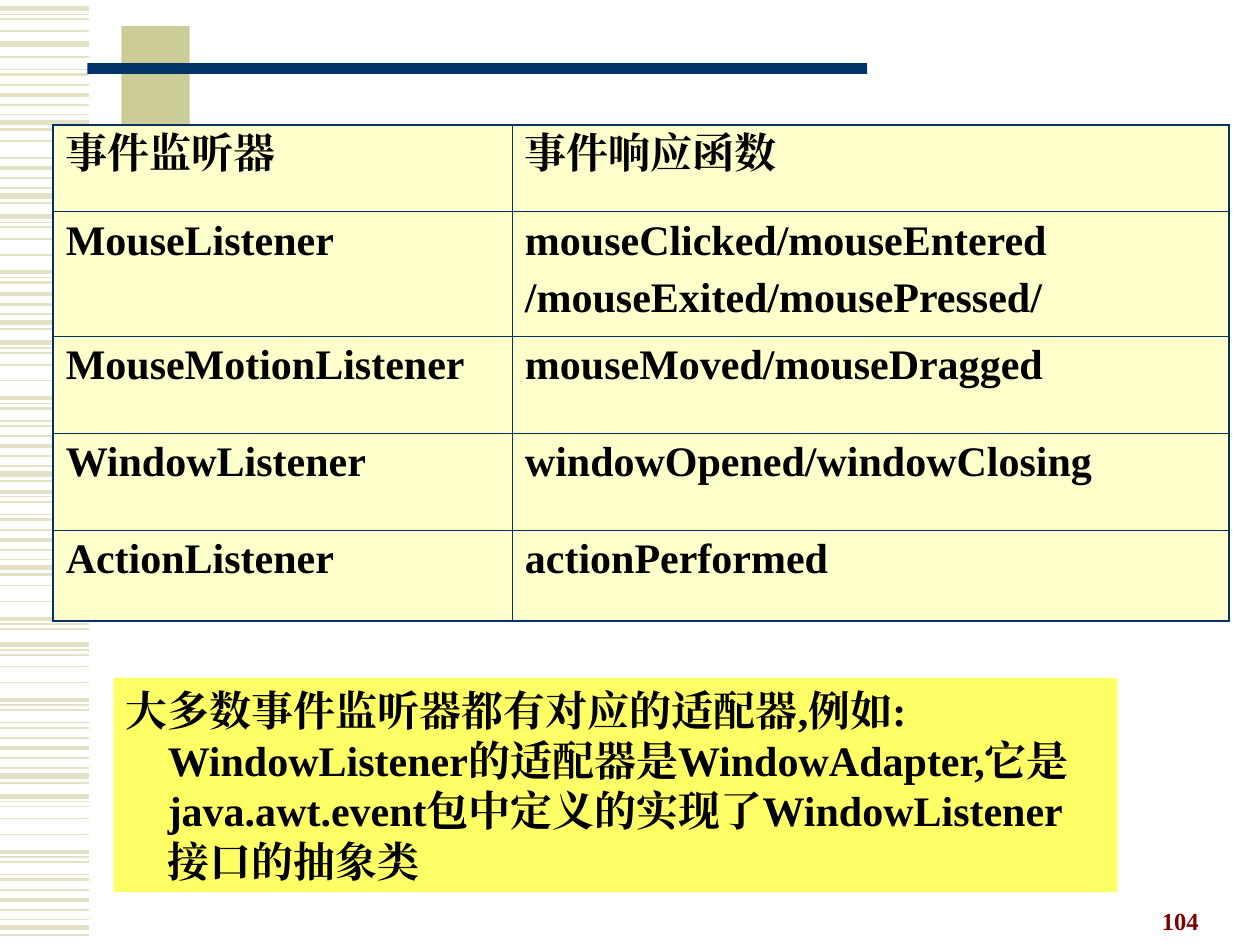
from dataclasses import dataclass

from lxml import etree
from pptx import Presentation
from pptx.dml.color import RGBColor
from pptx.enum.shapes import MSO_CONNECTOR, MSO_SHAPE
from pptx.enum.text import MSO_ANCHOR, PP_ALIGN
from pptx.oxml.ns import qn
from pptx.util import Pt

RECTANGLE = MSO_SHAPE.RECTANGLE
STRAIGHT = MSO_CONNECTOR.STRAIGHT
TOP, BOTTOM = MSO_ANCHOR.TOP, MSO_ANCHOR.BOTTOM
LEFT, RIGHT = PP_ALIGN.LEFT, PP_ALIGN.RIGHT


@dataclass(frozen=True)
class Theme:
    font: str = "Times New Roman"
    body_size: float = 24
    number_size: float = 14
    text: str = "000000"
    number: str = "800000"
    stripe: str = "E3E2C7"
    khaki: str = "CCCC99"
    navy: str = "003366"
    cell: str = "FFFFCC"
    note: str = "FFFF66"
    inner_border: float = 0.45
    outer_border: float = 1.08


THEME = Theme()

# One stripe motif: (offset from its start, line weight)
STRIPE_MOTIF = [
    (0, 3), (3.2, 0.75), (5.9, 1), (12.7, 1), (21.8, 1), (31.8, 2.25),
    (34.7, 0.75), (37.6, 1.5), (44.8, 0.75), (47.7, 1.5), (53.5, 1),
    (59.3, 2.25), (65, 1.5), (70.6, 0.75), (75.2, 3), (79.2, 1.5),
]
# Where the motif is repeated: (start, first stripe, end stripe)
STRIPE_RUNS = [
    (5, 0, 4), (25.2, 0, 1), (-5.1, 7, 16), (68, 3, 4), (36.8, 10, 16),
    (123.8, 0, 8), (108.9, 11, 16), (195.7, 0, 16), (249.2, 5, 16),
    (321.9, 3, 8), (368.2, 0, 16), (455, 0, 16),
]

LISTENER_ROWS = [
    ("事件监听器", "事件响应函数"),
    ("MouseListener", "mouseClicked/mouseEntered\n/mouseExited/mousePressed/"),
    ("MouseMotionListener", "mouseMoved/mouseDragged"),
    ("WindowListener", "windowOpened/windowClosing"),
    ("ActionListener", "actionPerformed"),
]
COLUMN_WIDTHS = [262.4, 409.6]
ROW_HEIGHTS = [49.5, 71.2, 55.4, 55.4, 52]

ADAPTER_NOTE = """大多数事件监听器都有对应的适配器,例如:
WindowListener的适配器是WindowAdapter,它是
java.awt.event包中定义的实现了WindowListener
接口的抽象类"""


def write_text(frame, text, size=THEME.body_size, color=THEME.text,
               align=LEFT, anchor=TOP, space_before=0, indent=0):
    """Write one paragraph a line; spacing and indent start at the second."""
    frame.word_wrap = True
    frame.vertical_anchor = anchor
    for index, line in enumerate(text.split("\n")):
        paragraph = frame.add_paragraph() if index else frame.paragraphs[0]
        paragraph.alignment = align
        if index:
            paragraph.space_before = Pt(space_before)
            paragraph._p.get_or_add_pPr().set("marL", str(Pt(indent)))
        run = paragraph.add_run()
        run.text = line
        run.font.name = THEME.font
        run.font.size = Pt(size)
        run.font.bold = True
        run.font.color.rgb = RGBColor.from_string(color)
        east_asian = etree.SubElement(run._r.get_or_add_rPr(), qn("a:ea"))
        east_asian.set("typeface", THEME.font)


class SlideBuilder:
    def __init__(self, slide, theme):
        self.slide = slide
        self.theme = theme

    def stripe(self, y, weight):
        line = self.slide.shapes.add_connector(
            STRAIGHT, Pt(0), Pt(y), Pt(51), Pt(y))
        line.line.color.rgb = RGBColor.from_string(self.theme.stripe)
        line.line.width = Pt(weight)
        etree.SubElement(line._element.spPr, qn("a:effectLst"))

    def rectangle(self, left, top, width, height, color):
        shape = self.slide.shapes.add_shape(
            RECTANGLE, Pt(left), Pt(top), Pt(width), Pt(height))
        shape.shadow.inherit = False
        shape.fill.solid()
        shape.fill.fore_color.rgb = RGBColor.from_string(color)
        shape.line.fill.background()
        return shape

    def text_box(self, left, top, width, height, text, **text_format):
        box = self.slide.shapes.add_textbox(
            Pt(left), Pt(top), Pt(width), Pt(height))
        write_text(box.text_frame, text, **text_format)

    def cell_border(self, cell, side, weight):
        border = etree.SubElement(
            cell._tc.get_or_add_tcPr(), qn(f"a:{side}"), w=str(Pt(weight)))
        fill = etree.SubElement(border, qn("a:solidFill"))
        etree.SubElement(fill, qn("a:srgbClr"), val=self.theme.navy)

    def table(self, left, top, widths, heights, rows):
        table = self.slide.shapes.add_table(
            len(heights), len(widths), Pt(left), Pt(top),
            Pt(sum(widths)), Pt(sum(heights))).table
        table.first_row = table.horz_banding = False
        for column, width in zip(table.columns, widths):
            column.width = Pt(width)
        for row, height in zip(table.rows, heights):
            row.height = Pt(height)
        last_row, last_column = len(heights) - 1, len(widths) - 1
        for row_index, texts in enumerate(rows):
            for column_index, text in enumerate(texts):
                cell = table.cell(row_index, column_index)
                write_text(cell.text_frame, text, space_before=6)
                outer_sides = {
                    "lnL": column_index == 0,
                    "lnR": column_index == last_column,
                    "lnT": row_index == 0,
                    "lnB": row_index == last_row,
                }
                for side, outer in outer_sides.items():
                    self.cell_border(cell, side, self.theme.outer_border
                                     if outer else self.theme.inner_border)
                cell.fill.solid()
                cell.fill.fore_color.rgb = RGBColor.from_string(self.theme.cell)


def main():
    presentation = Presentation()
    presentation.slide_width, presentation.slide_height = Pt(720), Pt(540)
    slide = presentation.slides.add_slide(presentation.slide_layouts[6])
    builder = SlideBuilder(slide, THEME)

    # Striped left margin
    for start, first, end in STRIPE_RUNS:
        for offset, weight in STRIPE_MOTIF[first:end]:
            builder.stripe(start + offset, weight)

    # Title decoration
    builder.rectangle(69.4, 15, 39, 114.5, THEME.khaki)
    builder.rectangle(50, 36, 445.6, 6.2, THEME.navy)

    # Listener table
    builder.table(30.4, 71.4, COLUMN_WIDTHS, ROW_HEIGHTS, LISTENER_ROWS)

    # Adapter note
    note = builder.rectangle(64.8, 387.4, 573.8, 122.4, THEME.note)
    write_text(note.text_frame, ADAPTER_NOTE, indent=24)

    # Slide number
    builder.text_box(519, 502, 173, 36, "104", size=THEME.number_size,
                     color=THEME.number, align=RIGHT, anchor=BOTTOM)

    presentation.save("out.pptx")


if __name__ == "__main__":
    main()
